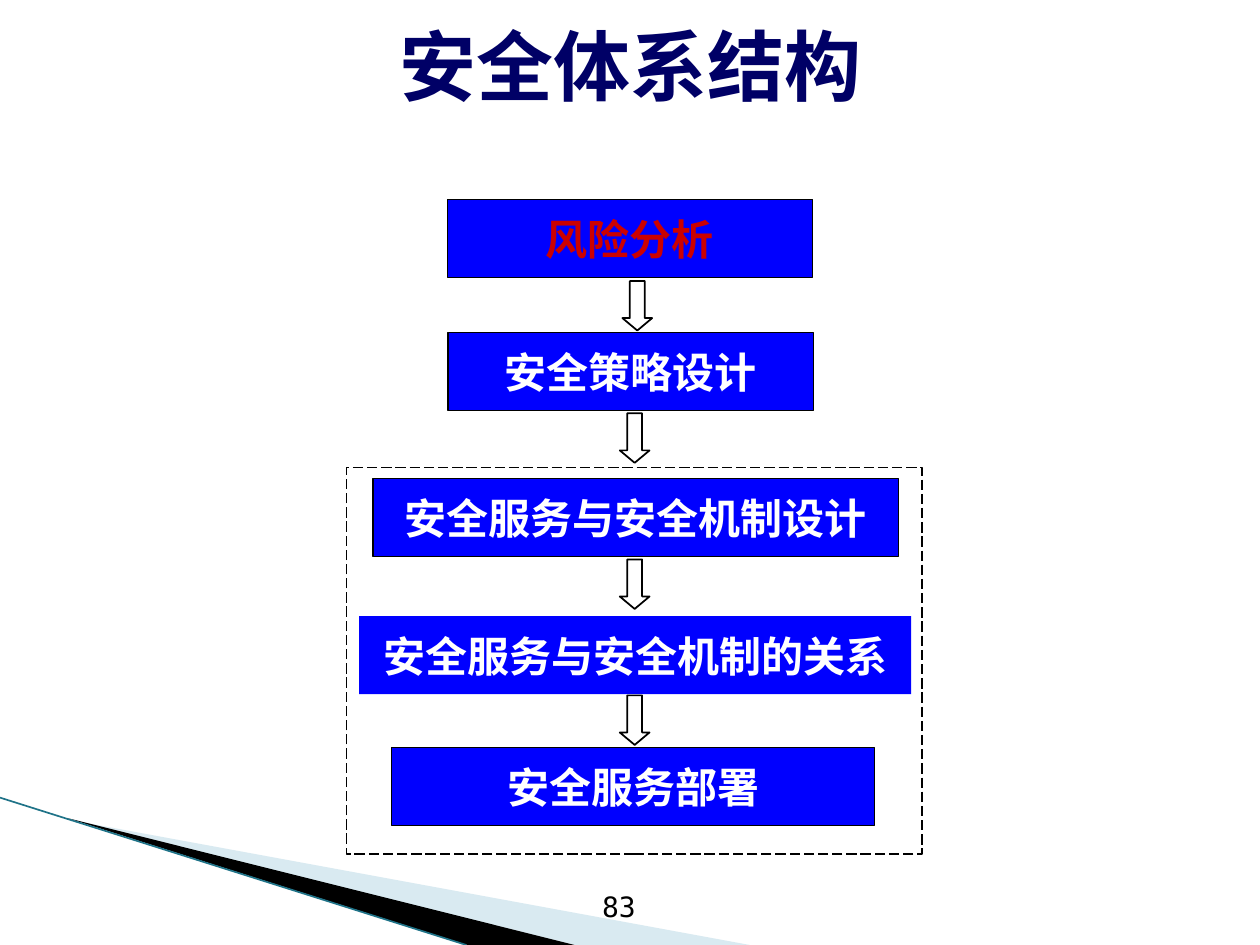
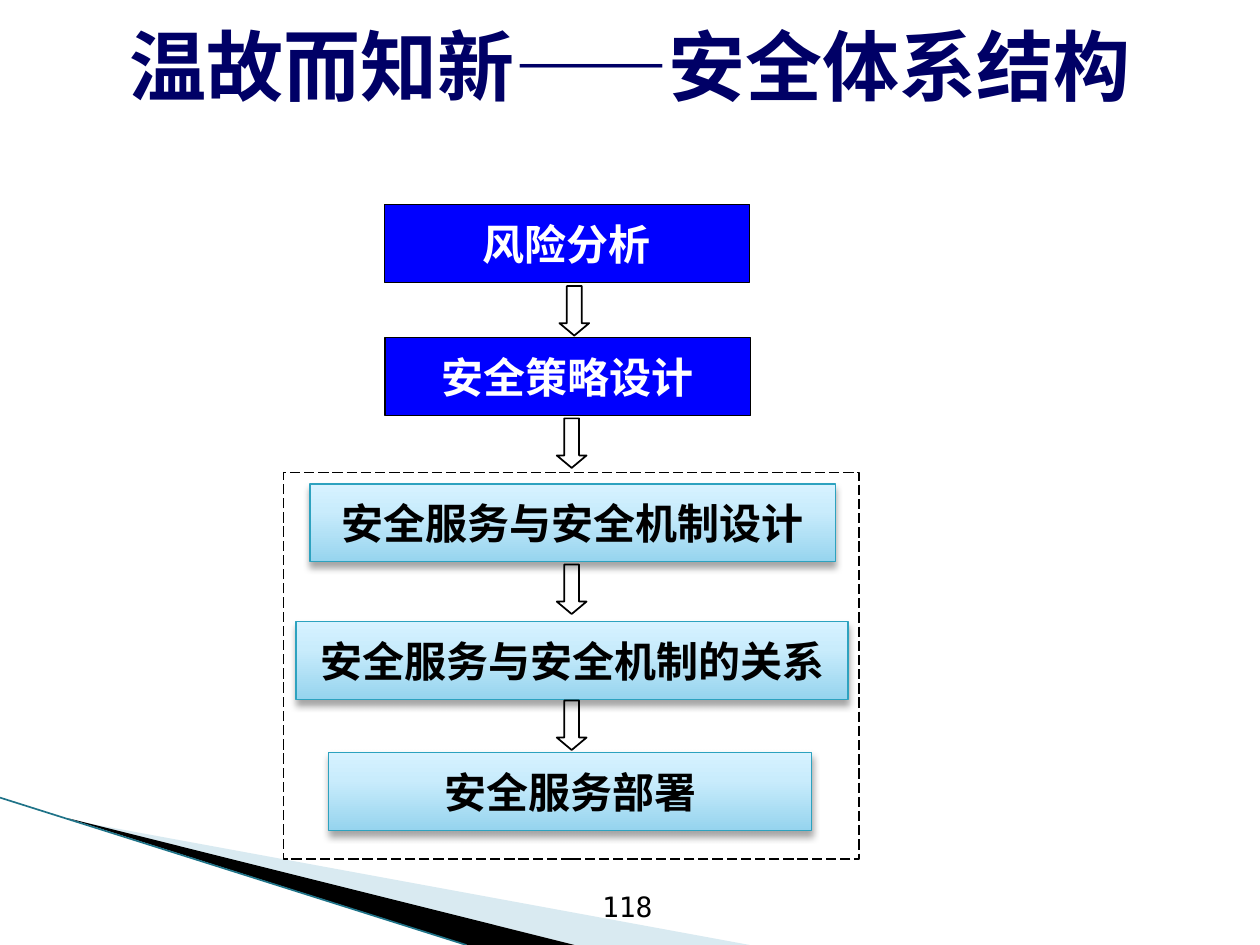
from copy import deepcopy
from lxml.etree import SubElement
from pptx import Presentation
from pptx.dml.color import RGBColor
from pptx.enum.dml import MSO_LINE
from pptx.enum.shapes import MSO_CONNECTOR, MSO_SHAPE
from pptx.enum.text import MSO_ANCHOR, MSO_AUTO_SIZE, PP_ALIGN
from pptx.oxml.ns import qn
from pptx.util import Pt

COLORS = {
    "title": "000066", "blue": "0000FF", "red": "CC0000", "white": "FFFFFF",
    "black": "000000", "pale": "A0CBDC", "teal": "1F7388", "edge": "2DA2BF",
}
GRADIENT = [(0, "96D4EE"), (0.65, "C9ECFC"), (1, "D7F2FF")]
MONO, CABIN, TIMES = "DejaVu Sans Mono", "Cabin", "Times New Roman"
BOX_H = 44.6

WEDGES = [
    ("pale", [(39.6, 468.5), (428.4, 540), (328.3, 540)]),
    ("black", [(38.5, 467.5), (328.3, 540), (267, 540)]),
]
# text, left, top, width, left and top of the arrow below
STEPS = [
    ("风险分析", 255.6, 113.8, 208.8, (355.7, 160.6)),
    ("安全策略设计", 256, 190, 208.8, (354.2, 236.2)),
    ("安全服务与安全机制设计", 213.1, 273.6, 300.2, (354.2, 319.7)),
    ("安全服务与安全机制的关系", 205.2, 352.1, 315.4, (354.2, 397.4)),
    ("安全服务部署", 223.9, 427, 275.8, None),
]
SLIDES = [
    {"title": "安全体系结构", "font": MONO, "number": "83", "dx": 0, "dy": 0,
     "first": "red", "light": False},
    {"title": "温故而知新——安全体系结构", "font": TIMES, "number": "118", "dx": -36, "dy": 2.9,
     "first": "white", "light": True},
]


def rgb(name):
    return RGBColor.from_string(COLORS[name])


def add_run(p, text, font, size, color, bold=True):
    r = p.add_run()
    r.text = text
    r.font.name, r.font.size, r.font.bold = font, Pt(size), bold
    r.font.color.rgb = rgb(color)


prs = Presentation()
prs.slide_width, prs.slide_height = Pt(720), Pt(540)

for page in SLIDES:
    s = prs.slides.add_slide(prs.slide_layouts[5])
    dx, dy = page["dx"], page["dy"]

    for color, points in WEDGES:
        builder = s.shapes.build_freeform(Pt(points[0][0]), Pt(points[0][1]))
        builder.add_line_segments([(Pt(x), Pt(y)) for x, y in points[1:]], close=True)
        wedge = builder.convert_to_shape()
        wedge.shadow.inherit = False
        wedge.fill.solid()
        wedge.fill.fore_color.rgb = rgb(color)
        wedge.line.fill.background()
        if color == "pale":
            clr = wedge._element.spPr.find(qn("a:solidFill"))[0]
            SubElement(clr, qn("a:alpha"), val="40000")

    edge = s.shapes.add_connector(MSO_CONNECTOR.STRAIGHT, Pt(0), Pt(455.8), Pt(266.5), Pt(540))
    edge.line.width = Pt(0.95)
    edge.line.color.rgb = rgb("teal")
    SubElement(edge._element.spPr, qn("a:effectLst"))

    title = s.shapes.title
    title.left, title.top, title.width, title.height = Pt(14.4), Pt(3.6), Pt(692), Pt(67)
    tf = title.text_frame
    tf.auto_size = MSO_AUTO_SIZE.NONE
    tf.vertical_anchor = MSO_ANCHOR.MIDDLE
    tf.paragraphs[0].alignment = PP_ALIGN.CENTER
    add_run(tf.paragraphs[0], page["title"], page["font"], 44, "title")

    group = s.shapes.add_group_shape()
    frame = group.shapes.add_shape(
        MSO_SHAPE.RECTANGLE, Pt(198 + dx), Pt(267 + dy), Pt(329), Pt(221))
    frame.shadow.inherit = False
    frame.fill.solid()
    frame.fill.fore_color.rgb = rgb("white")
    frame.line.color.rgb = rgb("black")
    frame.line.width = Pt(0.75)
    frame.line.dash_style = MSO_LINE.LONG_DASH

    for i, (text, left, top, width, arrow_at) in enumerate(STEPS):
        light = page["light"] and i >= 2
        box = group.shapes.add_shape(
            MSO_SHAPE.RECTANGLE, Pt(left + dx), Pt(top + dy), Pt(width), Pt(BOX_H))
        box.shadow.inherit = False
        if light:
            box.fill.gradient()
            box.fill.gradient_angle = 90
            stops = box._element.spPr.find(qn("a:gradFill")).find(qn("a:gsLst"))
            stops.insert(1, deepcopy(stops[0]))
            for stop, (position, color) in zip(box.fill.gradient_stops, GRADIENT):
                stop.position = position
                stop.color.rgb = RGBColor.from_string(color)
            effects = box._element.spPr.find(qn("a:effectLst"))
            shadow = SubElement(effects, qn("a:outerShdw"), blurRad=str(Pt(4)), dist=str(Pt(3)),
                                dir="5400000", rotWithShape="0")
            clr = SubElement(shadow, qn("a:srgbClr"), val=COLORS["black"])
            SubElement(clr, qn("a:alpha"), val="35000")
        else:
            box.fill.solid()
            box.fill.fore_color.rgb = rgb("blue")
        if i == 3 and not light:
            box.line.fill.background()
        else:
            box.line.color.rgb = rgb("edge" if light else "black")
            box.line.width = Pt(0.75)
        tf = box.text_frame
        tf.word_wrap = False
        tf.vertical_anchor = MSO_ANCHOR.MIDDLE
        tf.paragraphs[0].alignment = PP_ALIGN.CENTER
        color = "black" if light else page["first"] if i == 0 else "white"
        add_run(tf.paragraphs[0], text, MONO if light else CABIN, 24, color)

        if arrow_at:
            arrow = group.shapes.add_shape(
                MSO_SHAPE.DOWN_ARROW, Pt(arrow_at[0] + dx), Pt(arrow_at[1] + dy), Pt(17), Pt(28.3))
            arrow.adjustments[0], arrow.adjustments[1] = 0.5, 0.417
            arrow.shadow.inherit = False
            arrow.fill.background()
            arrow.line.color.rgb = rgb("black")
            arrow.line.width = Pt(1)

    number = s.shapes.add_textbox(Pt(337), Pt(504.7), Pt(62.6), Pt(35.3))
    tf = number.text_frame
    tf.word_wrap = True
    add_run(tf.paragraphs[0], page["number"], MONO, 16, "black", bold=False)

prs.save("out.pptx")
